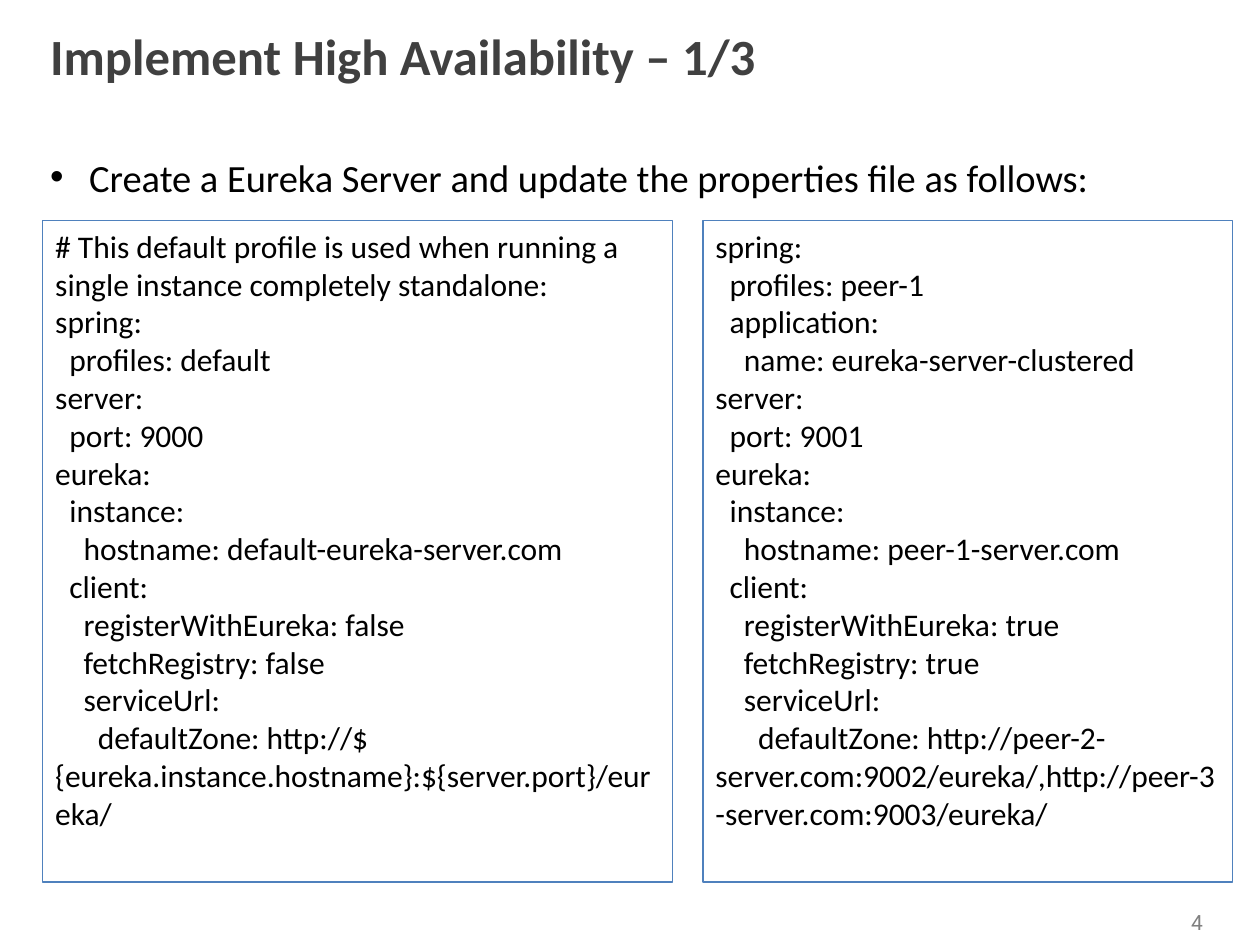
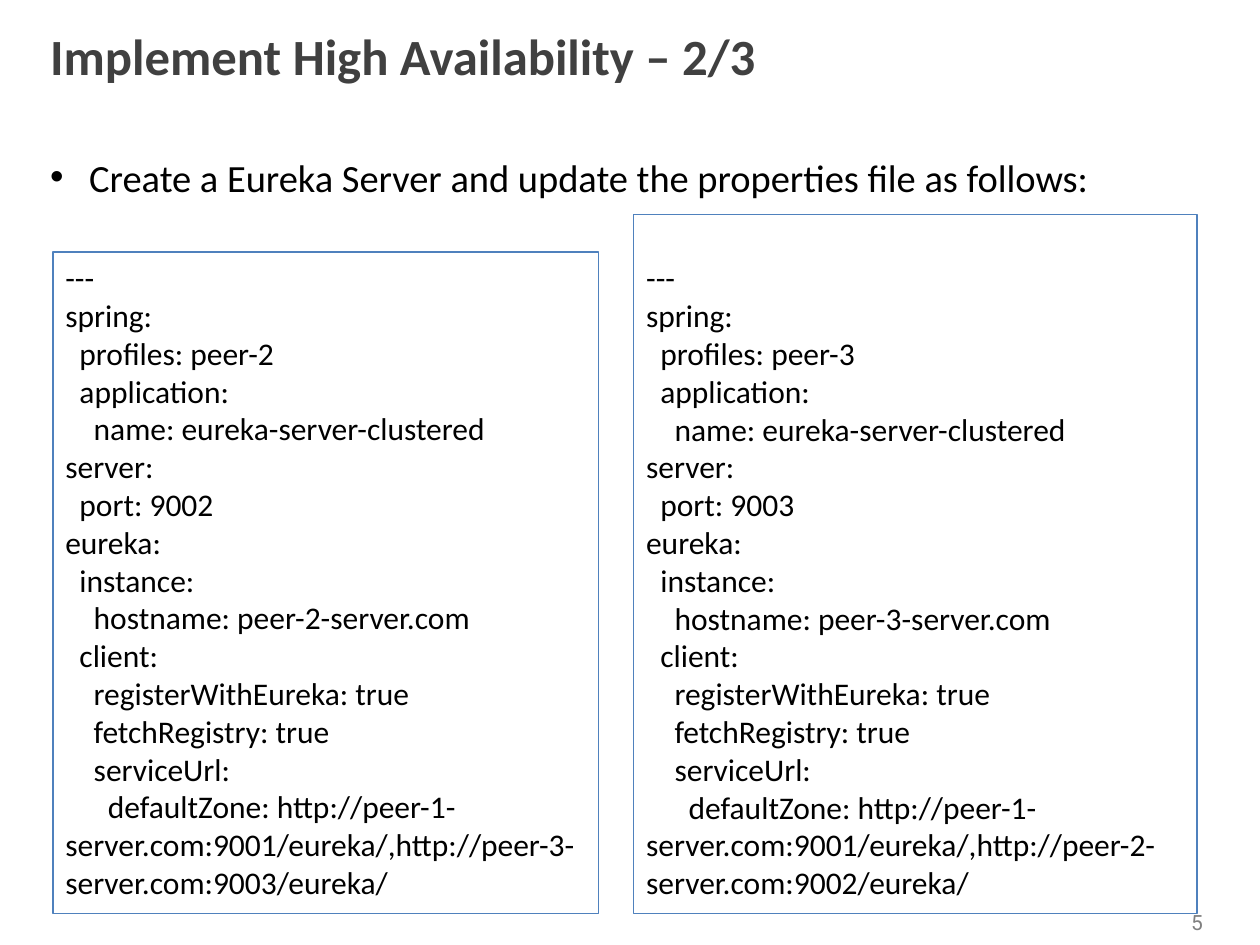
from lxml import etree
from pptx import Presentation
from pptx.dml.color import RGBColor
from pptx.enum.shapes import MSO_SHAPE
from pptx.enum.text import MSO_ANCHOR, PP_ALIGN
from pptx.oxml.ns import qn
from pptx.util import Inches, Pt

RECTANGLE = MSO_SHAPE.RECTANGLE
TOP, MIDDLE = MSO_ANCHOR.TOP, MSO_ANCHOR.MIDDLE
LEFT, CENTER, JUSTIFY = PP_ALIGN.LEFT, PP_ALIGN.CENTER, PP_ALIGN.JUSTIFY

COLORS = {"title": "404040", "text": "000000", "border": "4F81BD",
          "number": "808080", "paper": "FFFFFF"}
BODY_FONT, NUMBER_FONT = "Calibri", "Roboto"

INSTRUCTION = "Create a Eureka Server and update the properties file as follows:"

DEFAULT_PROFILE = """\
# This default profile is used when running a single instance completely standalone:
spring:
  profiles: default
server:
  port: 9000
eureka:
  instance:
    hostname: default-eureka-server.com
  client:
    registerWithEureka: false
    fetchRegistry: false
    serviceUrl:
      defaultZone: http://${eureka.instance.hostname}:${server.port}/eureka/"""

PEER_PROFILE = """\
spring:
  profiles: peer-{peer}
  application:
    name: eureka-server-clustered
server:
  port: 900{peer}
eureka:
  instance:
    hostname: peer-{peer}-server.com
  client:
    registerWithEureka: true
    fetchRegistry: true
    serviceUrl:
      defaultZone: {zone}"""


def peer_profile(peer):
    """Fill the profile of one peer, which registers with the two others."""
    zone = ",".join(f"http://peer-{other}-server.com:900{other}/eureka/"
                    for other in (1, 2, 3) if other != peer)
    return PEER_PROFILE.format(peer=peer, zone=zone)


# Each code box: left, top, width, height, space above the code, code
SLIDES = [
    {"title": "Implement High Availability – 1/3", "number": 4, "boxes": [
        (0.34, 1.75, 5, 5.25, 0.05, DEFAULT_PROFILE),
        (5.58, 1.75, 4.2, 5.25, 0.05, peer_profile(1)),
    ]},
    {"title": "Implement High Availability – 2/3", "number": 5, "boxes": [
        (5.03, 1.7, 4.47, 5.55, 0.35, "---\n" + peer_profile(3)),
        (0.42, 2, 4.33, 5.25, 0.05, "---\n" + peer_profile(2)),
    ]},
]


def rgb(name):
    return RGBColor.from_string(COLORS[name])


def write(shape, text, size, color="text", font=BODY_FONT, bold=False,
          align=LEFT, anchor=TOP, bullet=False):
    frame = shape.text_frame
    frame.word_wrap = True
    frame.vertical_anchor = anchor
    frame.text = text
    for paragraph in frame.paragraphs:
        paragraph.alignment = align
        if bullet:
            add_bullet(paragraph)
        paragraph.font.name = font
        paragraph.font.size = Pt(size)
        paragraph.font.bold = bold
        paragraph.font.color.rgb = rgb(color)


def add_bullet(paragraph):
    properties = paragraph._p.get_or_add_pPr()
    properties.set("marL", str(Inches(0.31)))
    properties.set("indent", str(-Inches(0.31)))
    etree.SubElement(properties, qn("a:buFont")).set("typeface", "Arial")
    etree.SubElement(properties, qn("a:buChar")).set("char", "•")


def add_text_box(slide, place, text, size, **style):
    box = slide.shapes.add_textbox(*map(Inches, place))
    write(box, text, size, **style)


def add_rectangle(slide, place, fill=None, line=None):
    shape = slide.shapes.add_shape(RECTANGLE, *map(Inches, place))
    shape.shadow.inherit = False
    if fill:
        shape.fill.solid()
        shape.fill.fore_color.rgb = rgb(fill)
    else:
        shape.fill.background()
    if line:
        shape.line.color.rgb = rgb(line)
        shape.line.width = Pt(0.75)
    else:
        shape.line.fill.background()
    return shape


def add_code_box(slide, left, top, width, height, space_above, code):
    shape = add_rectangle(slide, (left, top, width, height), line="border")
    shape.text_frame.margin_top = Inches(space_above)
    write(shape, code, 18)


def build_slide(presentation, content):
    slide = presentation.slides.add_slide(presentation.slide_layouts[6])
    add_text_box(slide, (9.25, 7.17, 0.5, 0.3), str(content["number"]), 12,
                 color="number", font=NUMBER_FONT, align=CENTER)
    add_text_box(slide, (0.3, 0.12, 9.2, 0.63), content["title"], 29,
                 color="title", bold=True, anchor=MIDDLE)
    panel = add_rectangle(slide, (0.3, 1.17, 9.45, 5.67), fill="paper")
    write(panel, INSTRUCTION, 22, align=JUSTIFY, bullet=True)
    for box in content["boxes"]:
        add_code_box(slide, *box)


def main():
    presentation = Presentation()
    presentation.slide_width = Inches(10)
    presentation.slide_height = Inches(7.5)
    for content in SLIDES:
        build_slide(presentation, content)
    presentation.save("out.pptx")


if __name__ == "__main__":
    main()
